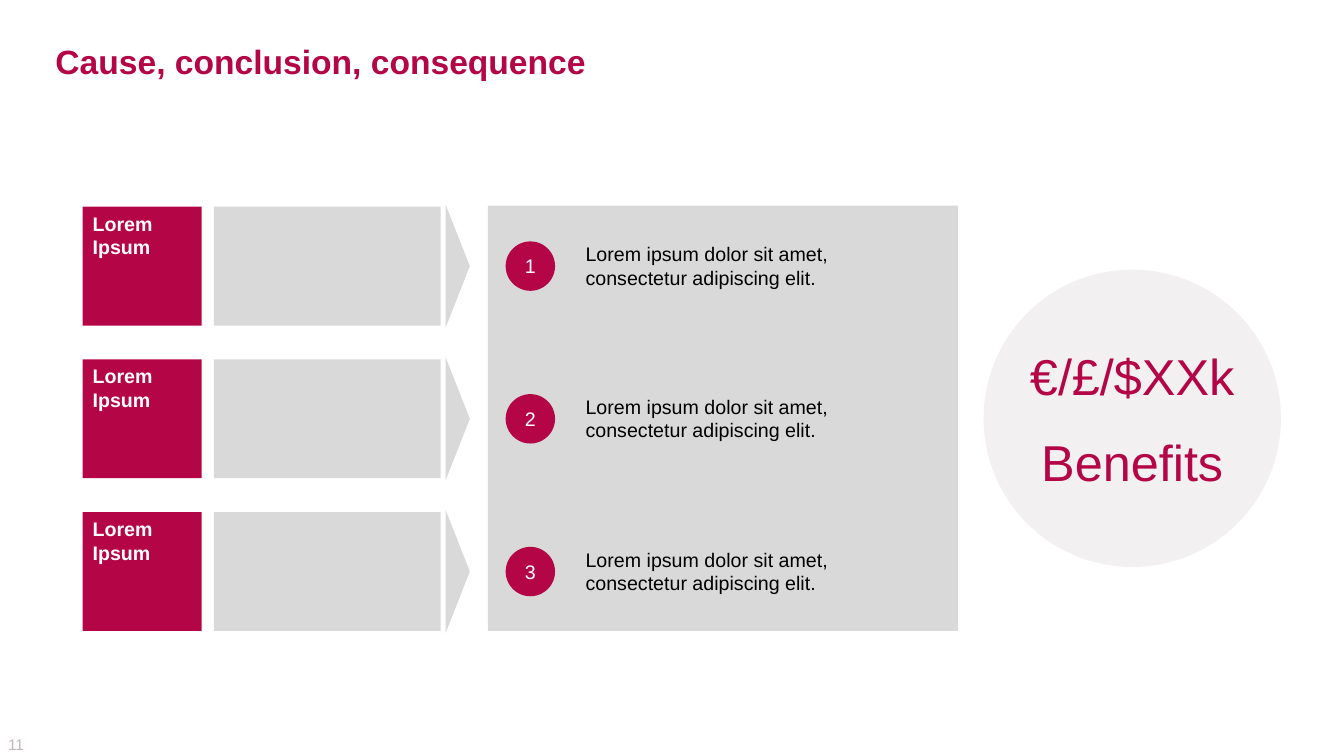
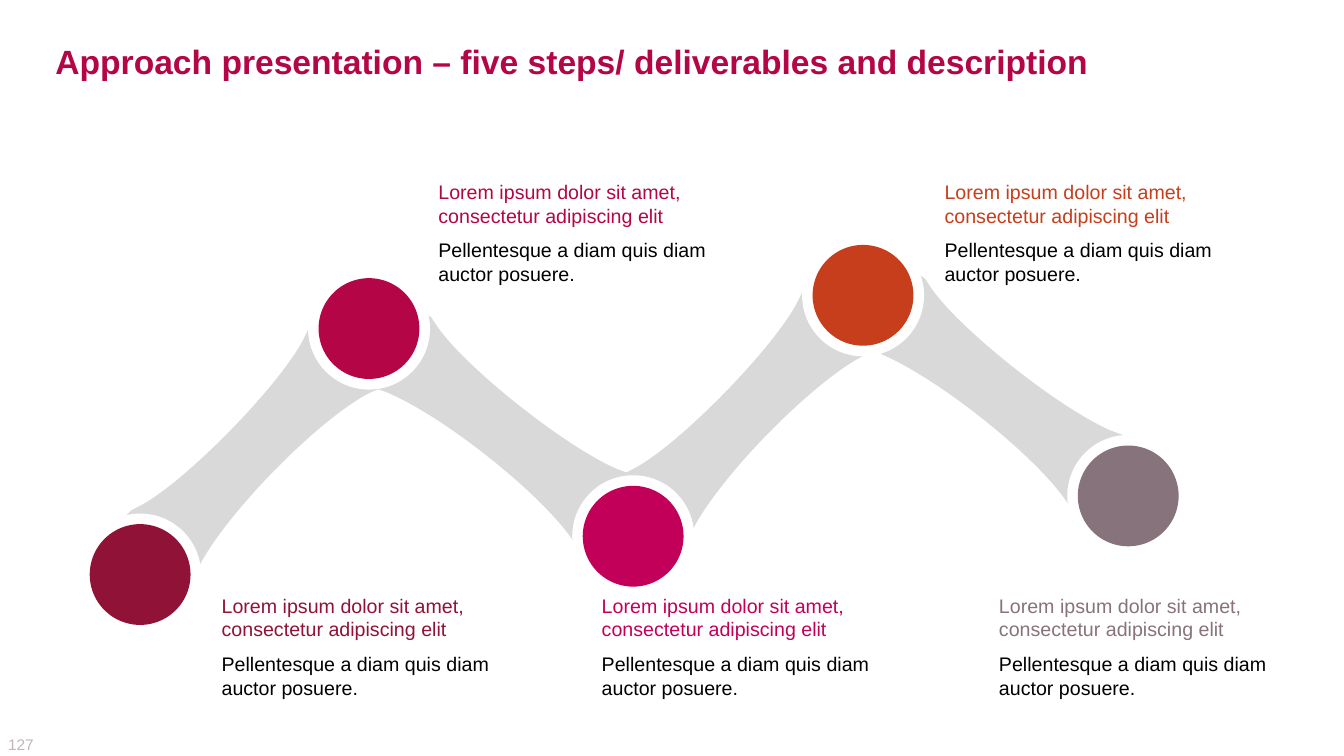
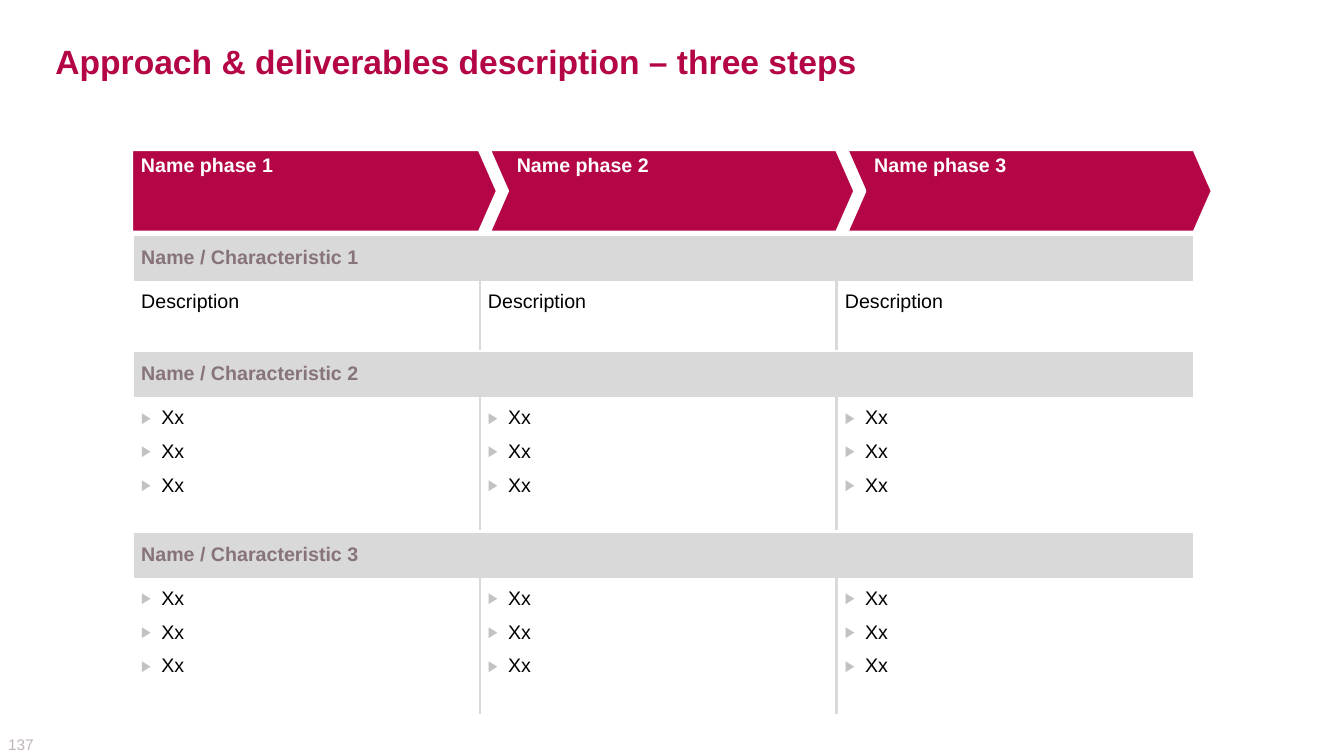
from lxml import etree
from pptx import Presentation
from pptx.dml.color import RGBColor
from pptx.enum.shapes import MSO_SHAPE
from pptx.enum.text import MSO_ANCHOR, PP_ALIGN
from pptx.oxml.ns import qn
from pptx.util import Inches, Pt

RECT, OVAL, TRIANGLE = MSO_SHAPE.RECTANGLE, MSO_SHAPE.OVAL, MSO_SHAPE.ISOSCELES_TRIANGLE
CHEVRON, PENTAGON = MSO_SHAPE.CHEVRON, MSO_SHAPE.PENTAGON
TOP, MIDDLE, BOTTOM = MSO_ANCHOR.TOP, MSO_ANCHOR.MIDDLE, MSO_ANCHOR.BOTTOM
LEFT, CENTER = PP_ALIGN.LEFT, PP_ALIGN.CENTER

FONT = "Arial"
SLIDE_W, SLIDE_H = 13.33, 7.5
COLORS = {
    "brand": "B40646", "wine": "901237", "pink": "C2005A", "orange": "C63E1B",
    "mauve": "87737B", "gray": "D9D9D9", "pale": "F3F0F1", "bullet": "C2C2C2",
    "number": "C1B5B9", "black": "000000", "white": "FFFFFF",
}

# Band between two steps, centred on the origin: one point is a line,
# three points are a curve
LINK_START = (-1.38, -0.5)
LINK_SEGMENTS = (
    [(-1.26, -0.5)],
    [(-1.14, -0.46)],
    [(-0.9, -0.39), (-0.47, -0.35), (0, -0.35)],
    [(0.47, -0.35), (0.9, -0.39), (1.14, -0.46)],
    [(1.26, -0.5)],
    [(1.38, -0.5)],
    [(1.38, 0.5)],
    [(1.36, 0.45)],
    [(1.23, 0.33), (0.67, 0.24), (0, 0.24)],
    [(-0.76, 0.24), (-1.38, 0.36), (-1.38, 0.5)],
)


def rgb(name):
    return RGBColor.from_string(COLORS[name])


# Text
def add_bullet(p):
    pPr = p._p.get_or_add_pPr()
    pPr.set("marL", str(Inches(0.2)))
    pPr.set("indent", str(-Inches(0.2)))
    color = etree.SubElement(pPr, qn("a:buClr"))
    etree.SubElement(color, qn("a:srgbClr"), val=COLORS["bullet"])
    etree.SubElement(pPr, qn("a:buSzPct"), val="77000")
    etree.SubElement(pPr, qn("a:buFont"), typeface=FONT)
    etree.SubElement(pPr, qn("a:buChar"), char="▶")


def write(tf, *lines, size=14, color="black", bold=False, align=LEFT,
          before=0, after=0, bullets=False):
    """Write one paragraph per line; a line is text or a (text, color) pair."""
    for i, line in enumerate(lines):
        text, line_color = (line, color) if isinstance(line, str) else line
        p = tf.paragraphs[0] if i == 0 else tf.add_paragraph()
        if bullets:
            add_bullet(p)
        p.alignment = align
        p.space_before = Pt(before if i else 0)
        p.space_after = Pt(after)
        r = p.add_run()
        r.text = text
        r.font.name, r.font.size, r.font.bold = FONT, Pt(size), bold
        r.font.color.rgb = rgb(line_color)


def set_frame(item, insets, anchor):
    """Set margins (left, top, right, bottom) of a text frame or table cell."""
    (item.margin_left, item.margin_top,
     item.margin_right, item.margin_bottom) = map(Inches, insets)
    item.vertical_anchor = anchor


def add_text(slide, x, y, w, h, *lines, insets=(0.1, 0.05, 0.1, 0.05),
             anchor=TOP, **fmt):
    tf = slide.shapes.add_textbox(*map(Inches, (x, y, w, h))).text_frame
    tf.word_wrap = True
    set_frame(tf, insets, anchor)
    write(tf, *lines, **fmt)


# Shapes
def paint(sp, fill, line=None):
    sp.shadow.inherit = False
    sp.fill.solid()
    sp.fill.fore_color.rgb = rgb(fill)
    if line:
        sp.line.color.rgb, sp.line.width = rgb(line), Pt(3)
    else:
        sp.line.fill.background()


def add_shape(slide, kind, x, y, w, h, fill, *lines, line=None,
              insets=(0.1, 0.05, 0.1, 0.05), anchor=MIDDLE, **fmt):
    sp = slide.shapes.add_shape(kind, *map(Inches, (x, y, w, h)))
    paint(sp, fill, line)
    if lines:
        sp.text_frame.word_wrap = True
        set_frame(sp.text_frame, insets, anchor)
        write(sp.text_frame, *lines, **fmt)
    return sp


def add_disc(slide, cx, cy, d, fill, *lines, **fmt):
    return add_shape(slide, OVAL, cx - d / 2, cy - d / 2, d, d, fill, *lines, **fmt)


def add_link(slide, cx, cy, angle):
    def place(point):
        return Inches(cx + point[0]), Inches(cy + point[1])

    builder = slide.shapes.build_freeform(*place(LINK_START))
    builder.add_line_segments([place(pt) for seg in LINK_SEGMENTS for pt in seg], close=True)
    sp = builder.convert_to_shape()
    # Join each run of three line points into one curve
    nodes = iter(list(sp._element.iter(qn("a:lnTo"))))
    for seg in LINK_SEGMENTS:
        first, *others = [next(nodes) for _ in seg]
        if others:
            first.tag = qn("a:cubicBezTo")
            for node in others:
                first.append(node[0])
                node.getparent().remove(node)
    paint(sp, "gray")
    sp.rotation = angle


# Table
def set_borders(cell, **edges):
    """Edges are L, R, T, B = (color, points)."""
    tcPr = cell._tc.get_or_add_tcPr()
    for i, side in enumerate("LRTB"):
        color, width = edges[side]
        ln = etree.Element(qn("a:ln" + side), w=str(Pt(width)))
        fill = etree.SubElement(ln, qn("a:solidFill"))
        etree.SubElement(fill, qn("a:srgbClr"), val=COLORS[color])
        tcPr.insert(i, ln)


def add_phase_table(slide, x, y, widths, sections):
    """Each section is (heading, body lines, body height, body format)."""
    heading_h = 0.43
    height = sum(heading_h + s[2] for s in sections)
    table = slide.shapes.add_table(2 * len(sections), len(widths), Inches(x), Inches(y),
                                   Inches(sum(widths)), Inches(height)).table
    table.first_row = table.horz_banding = False
    for col, w in zip(table.columns, widths):
        col.width = Inches(w)

    last = len(widths) - 1
    outer, gap, divider = ("white", 1), ("white", 2.25), ("gray", 2.25)
    for i, (heading, lines, body_h, fmt) in enumerate(sections):
        head, body = 2 * i, 2 * i + 1
        table.rows[head].height = Inches(heading_h)
        table.rows[body].height = Inches(body_h)
        for c in range(last + 1):
            cell = table.cell(head, c)
            cell.fill.solid()
            cell.fill.fore_color.rgb = rgb("gray")
            set_borders(cell, L=outer, R=outer, T=gap, B=gap)

            cell = table.cell(body, c)
            cell.fill.background()
            set_borders(cell, L=divider if c else outer,
                        R=divider if c < last else outer, T=gap, B=gap)
            set_frame(cell, [0.08] * 4, TOP)
            write(cell.text_frame, *lines, **fmt)
        cell = table.cell(head, 0)
        cell.merge(table.cell(head, last))
        set_frame(cell, (0.08, 0.12, 0.08, 0.12), TOP)
        write(cell.text_frame, heading, color="mauve", bold=True)


# Shared slide frame
def new_slide(prs, title, number):
    slide = prs.slides.add_slide(prs.slide_layouts[6])
    add_text(slide, 0.08, 7.29, 0.39, 0.19, number, insets=[0] * 4, anchor=MIDDLE,
             size=11, color="number")
    add_text(slide, 0.47, 0.35, 12.4, 0.51, title, insets=(0.08, 0.05, 0.08, 0.05),
             anchor=MIDDLE, size=24, color="brand", bold=True)
    return slide


# Slides
def consequence_slide(prs):
    slide = new_slide(prs, "Cause, conclusion, consequence", "11")
    panel_y, panel_h = 2.04, 4.22
    first_y, last_y, row_h, rows = 2.05, 5.08, 1.18, 3
    pitch = (last_y - first_y) / (rows - 1)
    add_shape(slide, RECT, 4.84, panel_y, 4.66, panel_h, "gray")
    for i in range(rows):
        y = first_y + i * pitch
        cy = y + row_h / 2
        add_shape(slide, RECT, 0.82, y, row_h, row_h, "brand", "Lorem Ipsum",
                  insets=(0.1, 0.05, 0.06, 0.05), anchor=TOP, color="white", bold=True)
        add_shape(slide, RECT, 2.12, y, 2.25, row_h, "gray")
        arrow = add_shape(slide, TRIANGLE, 3.93, cy - 0.12, 1.22, 0.24, "gray")
        arrow.rotation = 90
        add_disc(slide, 5.26, cy, 0.49, "brand", str(i + 1), color="white", align=CENTER)
        add_text(slide, 5.71, cy - 0.48, 3.6, 0.95,
                 "Lorem ipsum dolor sit amet, consectetur adipiscing elit.",
                 anchor=MIDDLE, after=4)
    add_disc(slide, 11.23, panel_y + panel_h / 2, 2.95, "pale", "€/£/$XXk", "Benefits",
             insets=[0] * 4, size=36, color="brand", align=CENTER, before=18.5)


def steps_slide(prs):
    slide = new_slide(
        prs, "Approach presentation – five steps/ deliverables and description", "127")
    rise, fall = 314.3, 38.1
    for cx, cy, angle in ((2.54, 4.51, rise), (4.96, 4.32, fall),
                          (7.44, 4.14, rise), (9.86, 3.94, fall)):
        add_link(slide, cx, cy, angle)

    # Disc centre, caption left edge, caption above the path or below it
    above, below = (1.84, BOTTOM), (5.84, TOP)
    steps = (
        ("wine", 1.39, 5.7, 2.1, below),
        ("brand", 3.66, 3.26, 4.25, above),
        ("pink", 6.28, 5.32, 5.87, below),
        ("orange", 8.56, 2.93, 9.27, above),
        ("mauve", 11.19, 4.92, 9.81, below),
    )
    for color, cx, cy, x, (y, anchor) in steps:
        add_disc(slide, cx, cy, 1.21, "white")
        add_disc(slide, cx, cy, 1, color)
        add_text(slide, x, y, 3.07, 1.04,
                 ("Lorem ipsum dolor sit amet, consectetur adipiscing elit", color),
                 "Pellentesque a diam quis diam auctor posuere.",
                 anchor=anchor, before=4, after=4)


def phases_slide(prs):
    slide = new_slide(prs, "Approach & deliverables description – three steps", "137")
    first_x, last_x, phases = 1.3, 8.39, 3
    pitch = (last_x - first_x) / (phases - 1)
    for i in range(phases):
        sp = add_shape(slide, CHEVRON if i else PENTAGON, first_x + i * pitch, 1.48,
                       3.64, 0.83, "brand", f"Name phase {i + 1}", line="white",
                       anchor=TOP, insets=(0.1, 0.04, 0.04, 0.04), color="white",
                       bold=True, after=4)
        sp.adjustments[0] = 0.22
    items = (["Xx"] * 3, 1.32, {"bullets": True, "before": 8.4})
    add_phase_table(slide, 1.32, 2.33, (3.44, 3.54, 3.54), (
        ("Name / Characteristic 1", ["Description"], 0.68, {"after": 4}),
        ("Name / Characteristic 2", *items),
        ("Name / Characteristic 3", *items),
    ))


def main():
    prs = Presentation()
    prs.slide_width, prs.slide_height = Inches(SLIDE_W), Inches(SLIDE_H)
    consequence_slide(prs)
    steps_slide(prs)
    phases_slide(prs)
    prs.save("out.pptx")


if __name__ == "__main__":
    main()
